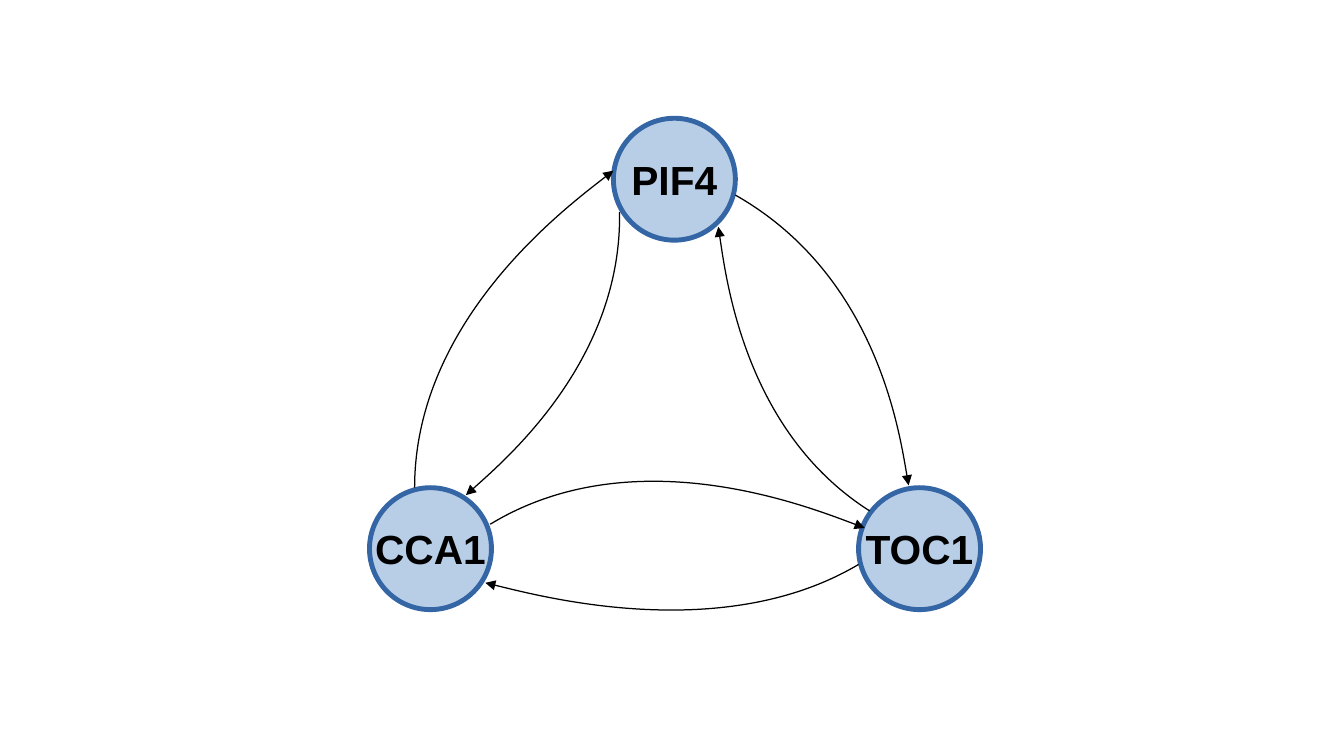
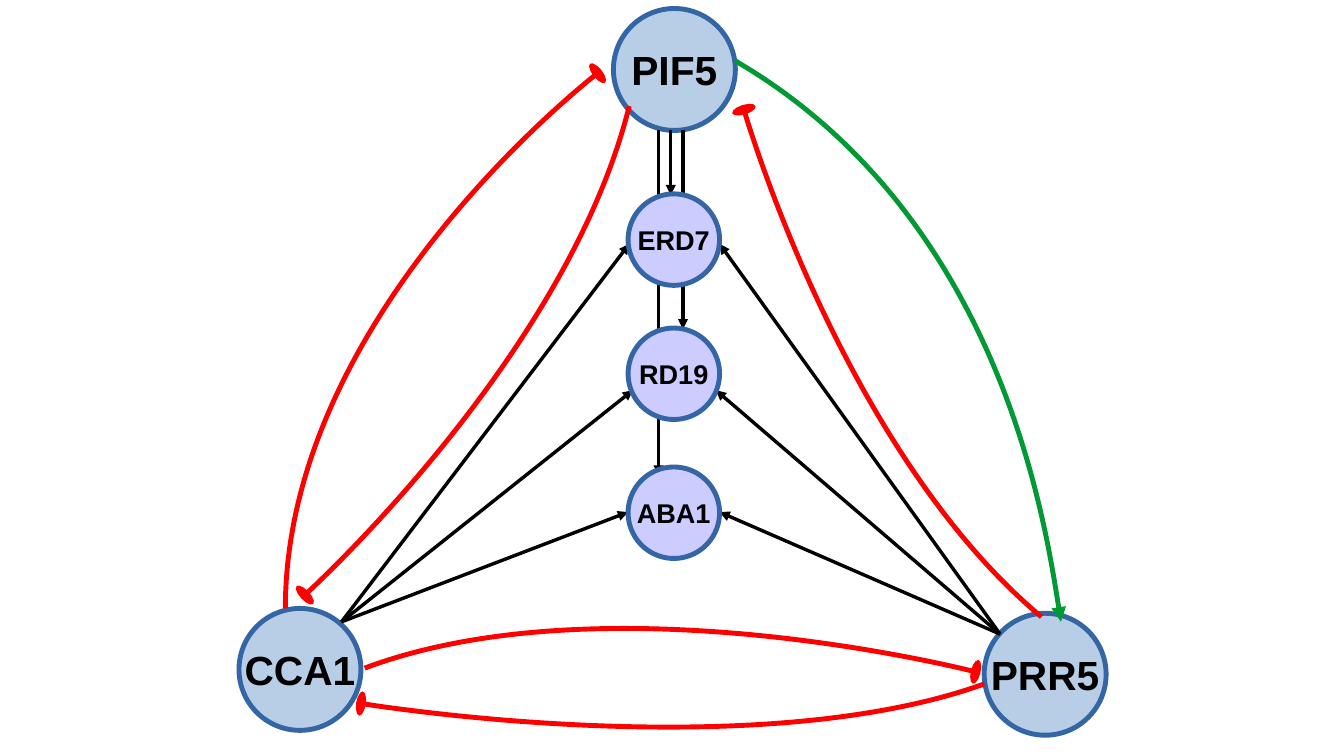
from copy import deepcopy

from lxml.etree import SubElement
from pptx import Presentation
from pptx.dml.color import RGBColor
from pptx.enum.shapes import MSO_CONNECTOR, MSO_SHAPE
from pptx.enum.text import MSO_ANCHOR, PP_ALIGN
from pptx.oxml.ns import qn
from pptx.util import Inches, Pt

BLUE, LILAC, EDGE = "729FCF", "CCCCFF", "3465A4"
BLACK, RED, GREEN = "000000", "FF0000", "009933"
HAIRLINE, THICK = 0, 2.89


def rgb(color):
    return RGBColor.from_string(color)


def apply(target, values):
    for name, value in values.items():
        setattr(target, name, value)


class Network:
    frame = {
        "word_wrap": False, "vertical_anchor": MSO_ANCHOR.MIDDLE,
        "margin_left": Inches(0.12), "margin_right": Inches(0.12),
        "margin_top": Inches(0.07), "margin_bottom": Inches(0.07),
    }
    font = {"name": "Arial", "bold": True}

    def __init__(self):
        self.prs = Presentation()
        apply(self.prs, {"slide_width": Inches(11.02), "slide_height": Inches(6.2)})
        self.s = None

    def slide(self):
        self.s = self.prs.slides.add_slide(self.prs.slide_layouts[6])

    def outline(self, sp, color, width):
        sp.line.color.rgb = rgb(color)
        sp.line.width = Pt(width)

    def circle(self, text, x, y, size, fill, points, alpha=None):
        sp = self.s.shapes.add_shape(
            MSO_SHAPE.OVAL, Inches(x), Inches(y), Inches(size), Inches(size))
        sp.shadow.inherit = False
        sp.fill.solid()
        sp.fill.fore_color.rgb = rgb(fill)
        if alpha:
            clr = sp.fill._xPr.find(qn("a:solidFill"))[0]
            SubElement(clr, qn("a:alpha")).set("val", str(alpha * 1000))
        self.outline(sp, EDGE, THICK)
        tf = sp.text_frame
        apply(tf, self.frame)
        p = tf.paragraphs[0]
        p.alignment = PP_ALIGN.CENTER
        r = p.add_run()
        r.text = text
        apply(r.font, {**self.font, "size": Pt(points)})
        r.font.color.rgb = rgb(BLACK)

    def regulator(self, text, x, y):
        self.circle(text, x, y, 1, BLUE, 24, alpha=50)

    def target(self, text, y):
        self.circle(text, 5.15, y, 0.75, LILAC, 16)

    def tip(self, sp, kind):
        end = SubElement(sp.line._get_or_add_ln(), qn("a:tailEnd"))
        end.set("type", kind)
        if kind == "oval":
            end.set("w", "lg")
            end.set("len", "sm")

    def curve(self, start, bend, end, color=BLACK, width=HAIRLINE, tip="triangle"):
        start, bend, end = [tuple(Inches(v) for v in pt) for pt in (start, bend, end)]
        builder = self.s.shapes.build_freeform(*start)
        builder.add_line_segments([bend, end], close=False)
        sp = builder.convert_to_shape()
        sp.shadow.inherit = False
        sp.fill.background()
        self.outline(sp, color, width)
        self.tip(sp, tip)
        route = next(sp._element.iter(qn("a:lnTo"))).getparent()
        bezier = SubElement(route, qn("a:cubicBezTo"))
        for segment in route.findall(qn("a:lnTo")):
            bezier.append(segment[0])
            route.remove(segment)
        bezier.append(deepcopy(bezier[-1]))

    def inhibit(self, start, bend, end):
        self.curve(start, bend, end, RED, THICK, "oval")

    def arrow(self, start, end):
        cn = self.s.shapes.add_connector(
            MSO_CONNECTOR.STRAIGHT, *[Inches(v) for v in (*start, *end)])
        self.outline(cn, BLACK, HAIRLINE)
        self.tip(cn, "triangle")
        SubElement(cn._element.spPr, qn("a:effectLst"))


def core_loop(net):
    net.slide()
    for node in (("PIF4", 5.03, 0.97), ("CCA1", 3.03, 4), ("TOC1", 7.04, 4)):
        net.regulator(*node)
    for points in (
        ((3.4, 4), (3.4, 2.6), (5.03, 1.4)),
        ((5.08, 1.74), (5.1, 2.98), (3.82, 4.06)),
        ((4.02, 4.3), (5.22, 3.57), (7.09, 4.33)),
        ((7.04, 4.63), (5.91, 5.3), (3.98, 4.78)),
        ((7.13, 4.19), (6.09, 3.53), (5.89, 1.86)),
        ((6.03, 1.6), (7.21, 2.27), (7.45, 3.98)),
    ):
        net.curve(*points)


def target_genes(net):
    net.slide()
    for node in (("PIF5", 5.03, 0.07), ("CCA1", 1.96, 4.99), ("PRR5", 8.07, 5.03)):
        net.regulator(*node)
    for points in (
        ((2.34, 4.99), (2.34, 2.62), (4.9, 0.6)),
        ((2.99, 5.48), (4.94, 4.75), (8, 5.51)),
        ((8.07, 5.61), (6.2, 6.28), (2.96, 5.77)),
    ):
        net.inhibit(*points)
    net.curve((6.03, 0.5), (8.26, 1.8), (8.7, 5.1), GREEN, THICK)
    for x, y in ((5.5, 1.6), (5.6, 2.7), (5.4, 3.9)):
        net.arrow((x, 1.07), (x, y))
    for left, right, y in ((5.16, 5.9, 2), (5.19, 5.87, 3.2), (5.15, 5.9, 4.2)):
        net.arrow((2.8, 5.1), (left, y))
        net.arrow((8.2, 5.2), (right, y))
    net.target("ERD7", 1.59)
    net.inhibit((8.54, 5.06), (6.95, 3.73), (6.1, 0.9))
    net.inhibit((5.16, 0.87), (4.66, 2.88), (2.5, 4.88))
    net.target("RD19", 2.69)
    net.target("ABA1", 3.83)


def main():
    net = Network()
    core_loop(net)
    target_genes(net)
    net.prs.save("out.pptx")


if __name__ == "__main__":
    main()
